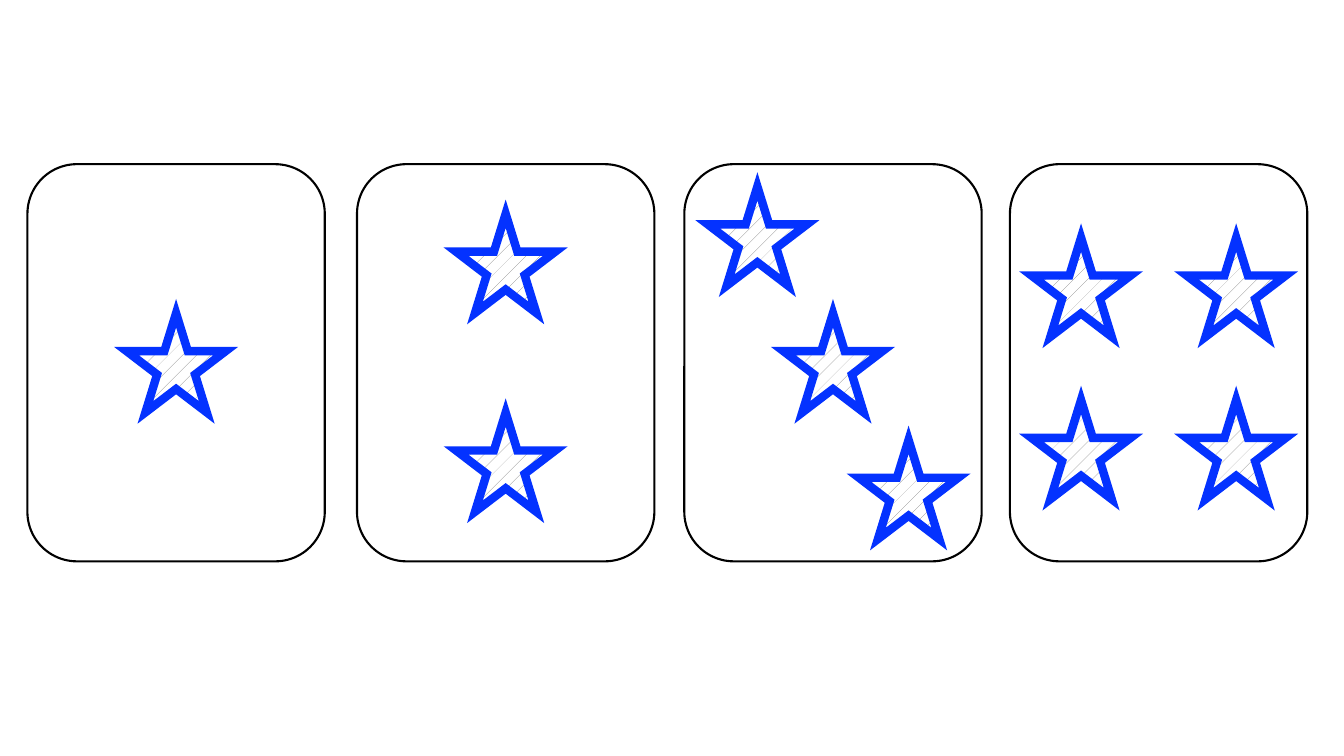
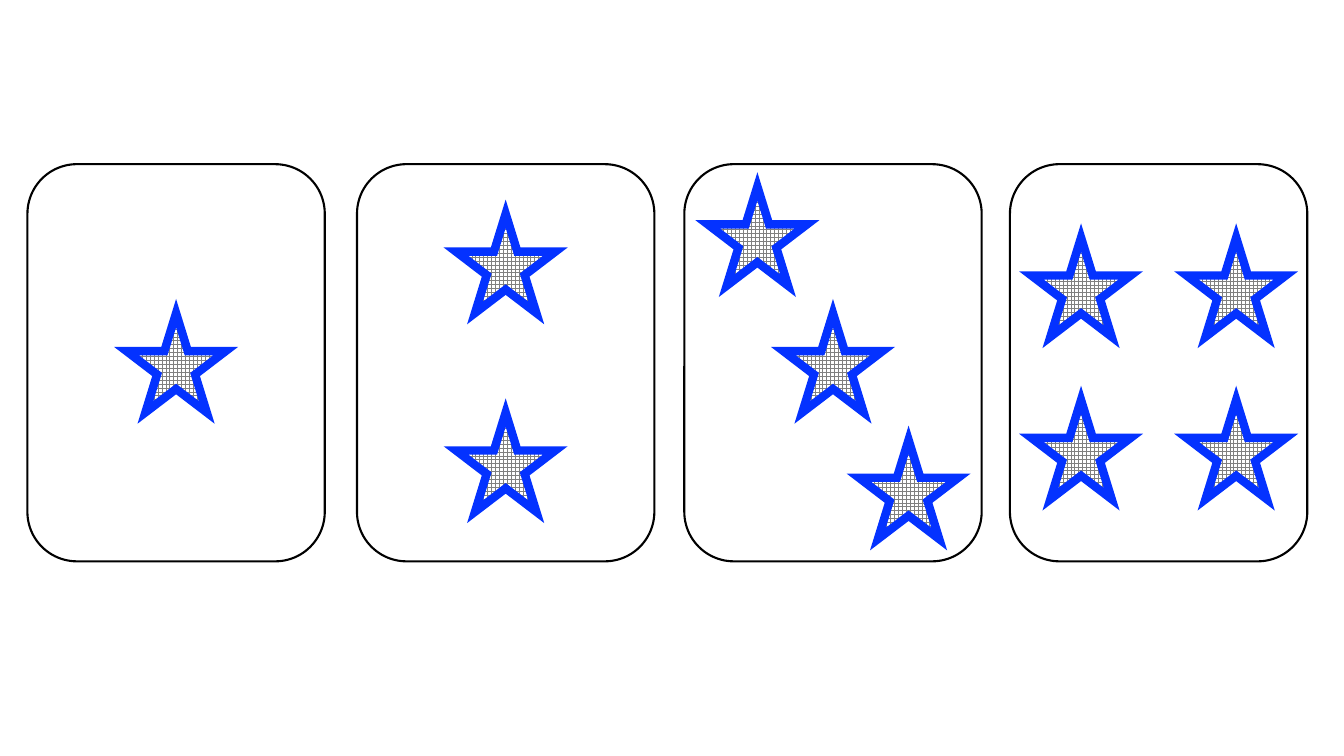
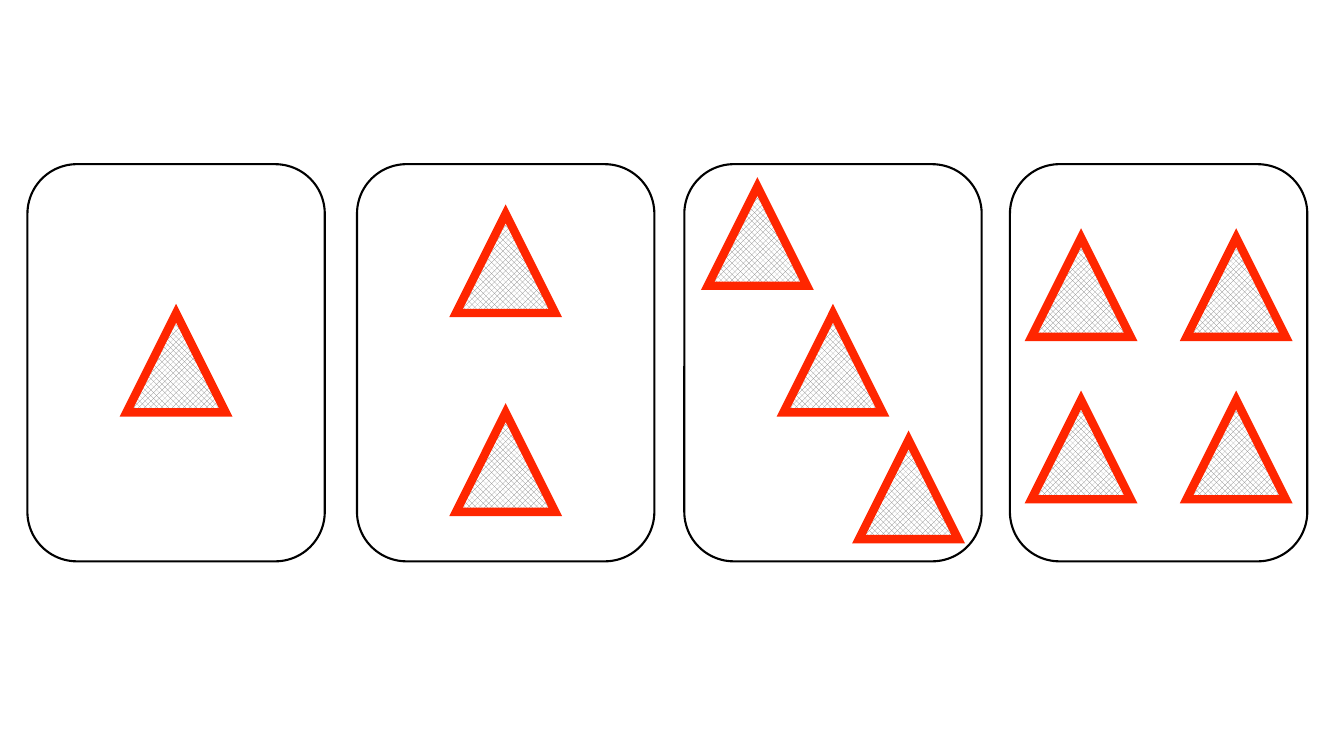
from lxml import etree
from pptx import Presentation
from pptx.dml.color import RGBColor
from pptx.enum import dml, shapes
from pptx.oxml.ns import qn
from pptx.util import Pt

COLORS = {"paper": "FFFFFF", "ink": "000000", "hatch": "808080",
          "blue": "0432FF", "red": "FF2600"}
CARD_W, CARD_H, CARD_TOP = 212.4, 283.7, 117.3
CARD_LEFTS = [19.6, 255, 488.8, 721.4]
MARK = 70.9
MARK_OFFSETS = [
    [(0, 0)],
    [(0, -71), (0, 71)],
    [(-54, -90.5), (0, 0), (54, 90.5)],
    [(x, y) for y in (-54, 62) for x in (-55.4, 55.4)],
]
SETS = [
    (shapes.MSO_SHAPE.STAR_5_POINT, dml.MSO_PATTERN.PERCENT_5, "blue"),
    (shapes.MSO_SHAPE.STAR_5_POINT, dml.MSO_PATTERN.LARGE_GRID, "blue"),
    (shapes.MSO_SHAPE.ISOSCELES_TRIANGLE, dml.MSO_PATTERN.SOLID_DIAMOND, "red"),
]


def rgb(name):
    return RGBColor.from_string(COLORS[name])


def add_outlined(s, kind, x, y, w, h, color, weight):
    sp = s.shapes.add_shape(kind, Pt(x), Pt(y), Pt(w), Pt(h))
    sp.shadow.inherit = False
    sp.line.color.rgb = rgb(color)
    sp.line.width = Pt(weight)
    ln = sp.line._get_or_add_ln()
    etree.SubElement(ln, qn("a:miter"), lim="800000")
    return sp


prs = Presentation()
prs.slide_width, prs.slide_height = Pt(960), Pt(540)

for kind, pattern, color in SETS:
    s = prs.slides.add_slide(prs.slide_layouts[6])
    for left in CARD_LEFTS:
        card = add_outlined(s, shapes.MSO_SHAPE.ROUNDED_RECTANGLE,
                            left, CARD_TOP, CARD_W, CARD_H, "ink", 1.5)
        card.fill.solid()
        card.fill.fore_color.rgb = rgb("paper")
    for left, offsets in zip(CARD_LEFTS, MARK_OFFSETS):
        for dx, dy in offsets:
            x = left + (CARD_W - MARK) / 2 + dx
            y = CARD_TOP + (CARD_H - MARK) / 2 + dy
            mark = add_outlined(s, kind, x, y, MARK, MARK, color, 6)
            mark.fill.patterned()
            mark.fill.pattern = pattern
            mark.fill.fore_color.rgb = rgb("hatch")
            mark.fill.back_color.rgb = rgb("paper")

prs.save("out.pptx")
